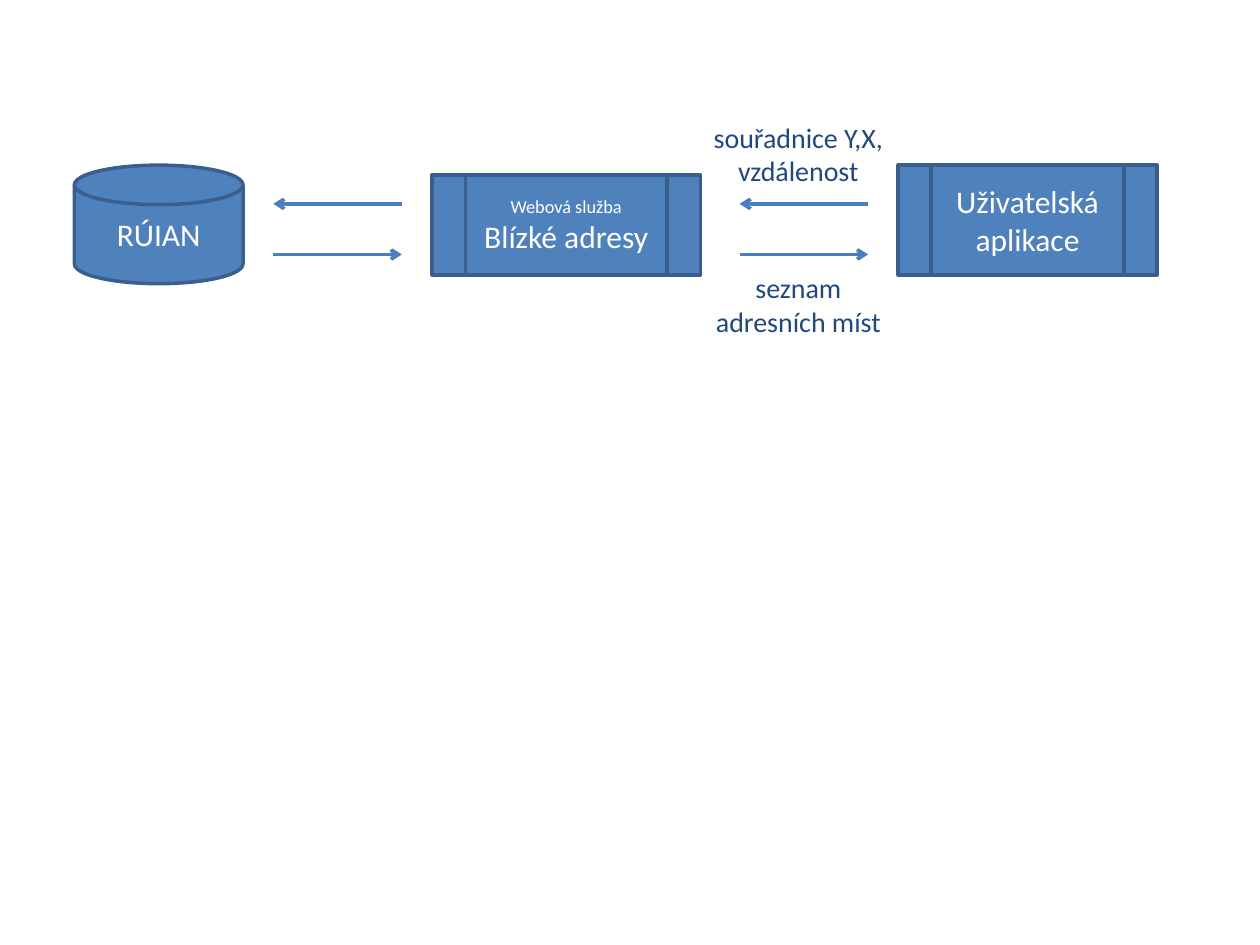
from collections import namedtuple

from lxml import etree
from pptx import Presentation
from pptx import util as u
from pptx.dml.color import RGBColor
from pptx.enum import shapes, text
from pptx.oxml.ns import qn

# Colours and type sizes
Theme = namedtuple("Theme", "font fill edge arrow label white paper small medium large")
theme = Theme(font="Calibri", fill="4F81BD", edge="3A5F8C", arrow="4B7EBC",
              label="1F497D", white="FFFFFF", paper="FFFFFF",
              small=10.5, medium=16, large=18)

prs = Presentation()
prs.slide_width, prs.slide_height = u.Cm(25.4), u.Cm(19.05)
s = prs.slides.add_slide(prs.slide_layouts[6])


def add_box(kind, box, fill, edge, color, lines):
    sp = s.shapes.add_shape(kind, *map(u.Cm, box))
    sp.shadow.inherit = False
    sp.fill.solid()
    sp.fill.fore_color.rgb = RGBColor.from_string(fill)
    if edge:
        sp.line.color.rgb = RGBColor.from_string(theme.edge)
        sp.line.width = u.Pt(edge)
    else:
        sp.line.fill.background()
    tf = sp.text_frame
    frame_format = {"word_wrap": True, "vertical_anchor": text.MSO_ANCHOR.MIDDLE}
    for name, value in frame_format.items():
        setattr(tf, name, value)
    for i, (words, size) in enumerate(lines):
        p = tf.add_paragraph() if i else tf.paragraphs[0]
        p.alignment = text.PP_ALIGN.CENTER
        r = p.add_run()
        r.text = words
        for name, value in {"name": theme.font, "size": u.Pt(size)}.items():
            setattr(r.font, name, value)
        r.font.color.rgb = RGBColor.from_string(color)


# Labels above and below the right-hand arrows
for top, words in ((2.51, "souřadnice Y,X, vzdálenost"),
                   (5.54, "seznam adresních míst")):
    add_box(shapes.MSO_SHAPE.RECTANGLE, (14.1, top, 3.99, 1.19),
            theme.paper, None, theme.label, [(words, theme.medium)])

# Database, web service and client application
disk = shapes.MSO_SHAPE.FLOWCHART_MAGNETIC_DISK
process = shapes.MSO_SHAPE.FLOWCHART_PREDEFINED_PROCESS
nodes = (
    (disk, (1.5, 3.33, 3.4, 2.39), 2, [("RÚIAN", theme.large)]),
    (process, (8.71, 3.53, 5.41, 2.01), 2,
     [("Webová služba", theme.small), ("Blízké adresy", theme.large)]),
    (process, (18.11, 3.33, 5.21, 2.21), 2.25,
     [("Uživatelská aplikace", theme.large)]),
)
for kind, box, edge, lines in nodes:
    add_box(kind, box, theme.fill, edge, theme.white, lines)

# Requests run left, responses run right
for y, leftward in ((4.11, True), (5.13, False)):
    for left in (5.51, 14.91):
        ends = (left, left + 2.59)
        start, end = reversed(ends) if leftward else ends
        c = s.shapes.add_connector(shapes.MSO_CONNECTOR.STRAIGHT,
                                   u.Cm(start), u.Cm(y), u.Cm(end), u.Cm(y))
        c.line.color.rgb = RGBColor.from_string(theme.arrow)
        c.line.width = u.Pt(2)
        ln = c.line._get_or_add_ln()
        etree.SubElement(ln, qn("a:tailEnd")).set("type", "arrow")
        etree.SubElement(ln.getparent(), qn("a:effectLst"))

prs.save("out.pptx")
